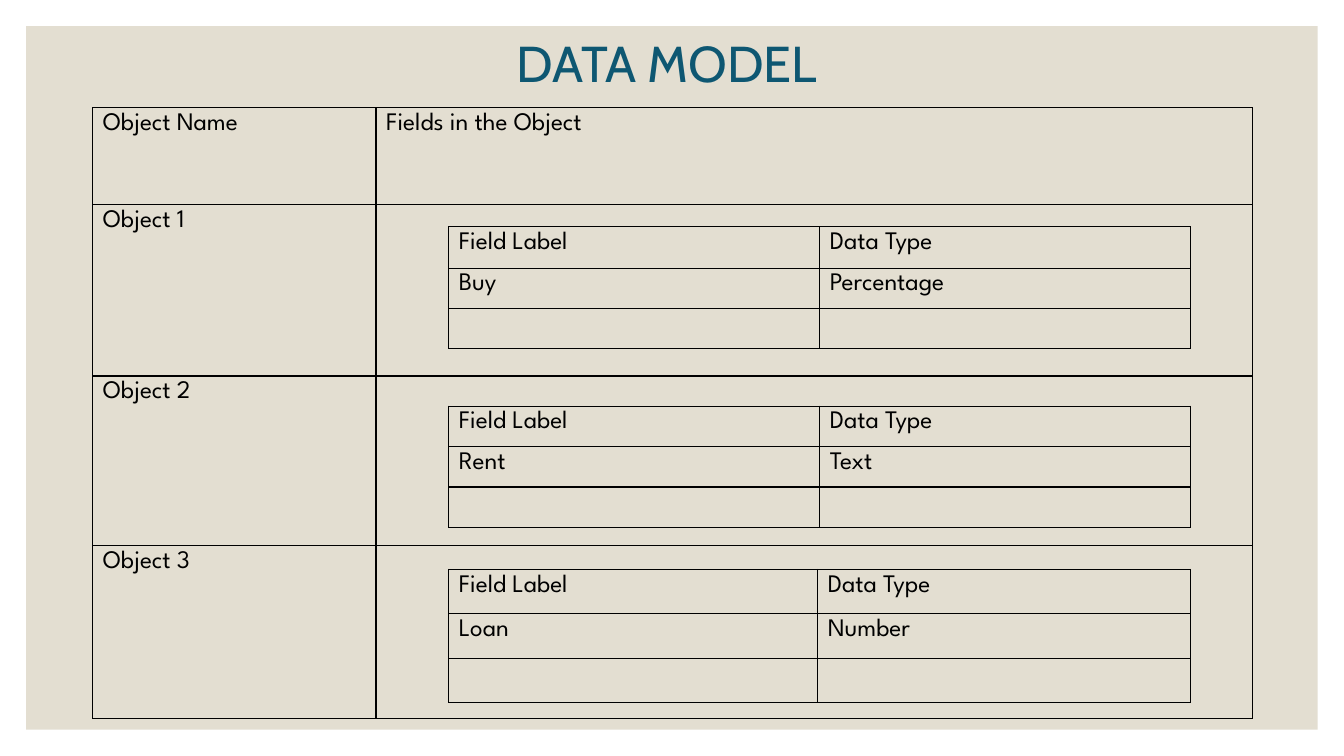
import pptx
import pptx.dml.color
import pptx.enum.shapes
import pptx.enum.text
import pptx.oxml
import pptx.oxml.ns
import pptx.util
from dataclasses import dataclass

TITLE = "DATA MODEL "
OBJECT_ROWS = [
    ("Object Name", "Fields in the Object"),
    ("Object 1", ""),
    ("Object 2", ""),
    ("Object 3", ""),
]
FIELD_HEADER = ("Field Label", "Data Type")
# Each object's field, then the top, column widths and row heights of its table
FIELD_TABLES = [
    (("Buy", "Percentage"), 2.25, (3.68, 3.68), (0.41, 0.4, 0.4)),
    (("Rent", "Text"), 4.03, (3.68, 3.68), (0.37, 0.34, 0.34)),
    (("Loan", "Number"), 5.65, (3.66, 3.7), (0.44, 0.44, 0.44)),
]

SLIDE_WIDTH, SLIDE_HEIGHT = 13.33, 7.5
PANEL_MARGIN = 0.26
CONTENT_LEFT, CONTENT_WIDTH = 0.92, 11.5
FIELDS_LEFT = 4.45


@dataclass(frozen=True)
class Theme:
    panel: str = "E3DED1"
    title: str = "0E5772"
    ink: str = "000000"
    title_font: str = "Cabin"
    body_font: str = "League Spartan"
    title_size: int = 36
    body_size: int = 18
    border: int = 1


THEME = Theme()


def inches(*lengths):
    return [pptx.util.Inches(length) for length in lengths]


def write_text(frame, text, *, font=THEME.body_font, size=THEME.body_size,
               color=THEME.ink, align=pptx.enum.text.PP_ALIGN.LEFT, spacing=1.0):
    paragraph = frame.paragraphs[0]
    paragraph.alignment = align
    paragraph.line_spacing = spacing
    run = paragraph.add_run()
    run.text = text
    run.font.name = font
    run.font.size = pptx.util.Pt(size)
    run.font.color.rgb = pptx.dml.color.RGBColor.from_string(color)


def add_borders(cell):
    properties = cell._tc.get_or_add_tcPr()
    width = pptx.util.Pt(THEME.border)
    for position, side in enumerate(("lnL", "lnR", "lnT", "lnB")):
        properties.insert(position, pptx.oxml.parse_xml(
            f'<a:{side} {pptx.oxml.ns.nsdecls("a")} w="{width}"><a:solidFill>'
            f'<a:srgbClr val="{THEME.ink}"/></a:solidFill></a:{side}>'))


def add_grid(slide, rows, left, top, widths, heights):
    """Add an unfilled table with a thin border round every cell."""
    table = slide.shapes.add_table(
        len(rows), len(widths),
        *inches(left, top, sum(widths), sum(heights))).table
    table.first_row = table.horz_banding = False
    for column, width in zip(table.columns, inches(*widths)):
        column.width = width
    for row, height, texts in zip(table.rows, inches(*heights), rows):
        row.height = height
        for cell, text in zip(row.cells, texts):
            cell.fill.background()
            add_borders(cell)
            write_text(cell.text_frame, text)


def add_panel(slide):
    panel = slide.shapes.add_shape(
        pptx.enum.shapes.MSO_SHAPE.RECTANGLE,
        *inches(PANEL_MARGIN, PANEL_MARGIN,
                SLIDE_WIDTH - 2 * PANEL_MARGIN, SLIDE_HEIGHT - 2 * PANEL_MARGIN))
    panel.shadow.inherit = False
    panel.fill.solid()
    panel.fill.fore_color.rgb = pptx.dml.color.RGBColor.from_string(THEME.panel)
    panel.line.fill.background()


def add_title(slide):
    frame = slide.shapes.add_textbox(
        *inches(CONTENT_LEFT, -0.18, CONTENT_WIDTH, 1.68)).text_frame
    frame.word_wrap = True
    frame.vertical_anchor = pptx.enum.text.MSO_ANCHOR.MIDDLE
    write_text(frame, TITLE, font=THEME.title_font, size=THEME.title_size,
               color=THEME.title, align=pptx.enum.text.PP_ALIGN.CENTER, spacing=0.9)


def main():
    presentation = pptx.Presentation()
    presentation.slide_width, presentation.slide_height = inches(SLIDE_WIDTH, SLIDE_HEIGHT)
    slide = presentation.slides.add_slide(presentation.slide_layouts[6])
    add_panel(slide)
    add_title(slide)
    add_grid(slide, OBJECT_ROWS, CONTENT_LEFT, 1.07, (2.81, 8.69), (0.96, 1.7, 1.68, 1.72))
    for field, top, widths, heights in FIELD_TABLES:
        add_grid(slide, [FIELD_HEADER, field, ("", "")], FIELDS_LEFT, top, widths, heights)
    presentation.save("out.pptx")


if __name__ == "__main__":
    main()
